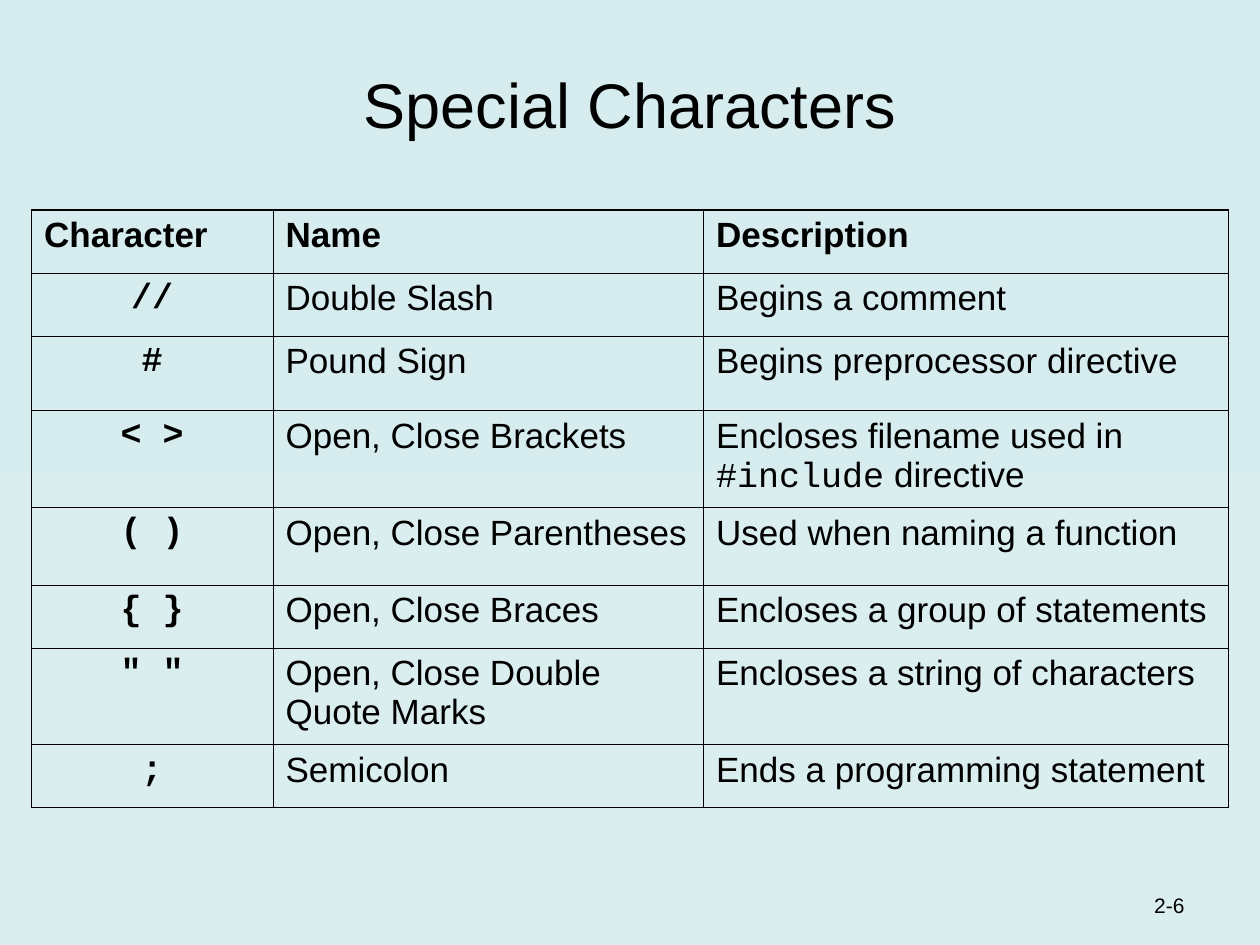
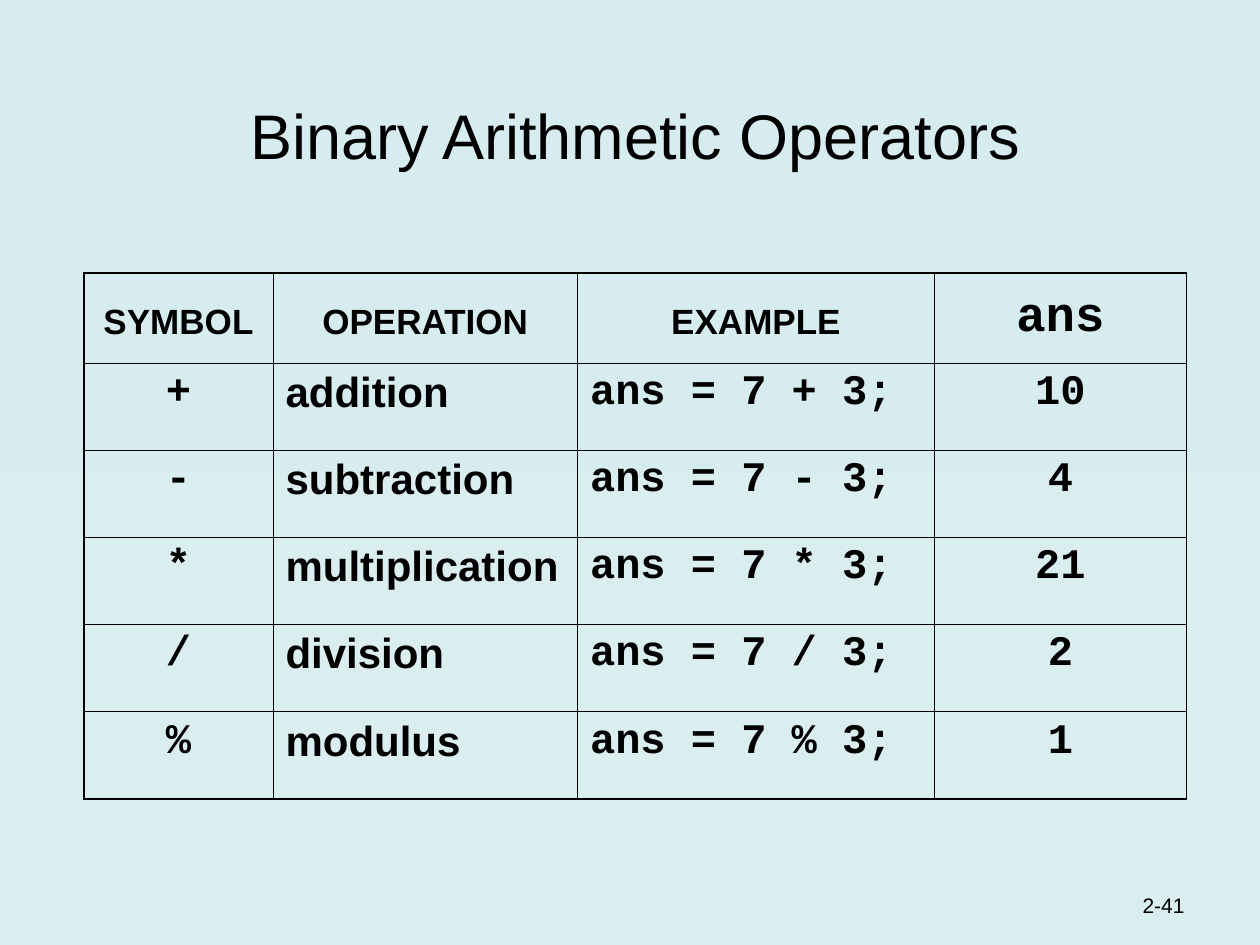
"""Build two slides of programming tables with a shared title, page mark and ruled grid."""
from dataclasses import dataclass
from typing import NamedTuple

from lxml import etree
from pptx import Presentation
from pptx import util as u
from pptx.dml.color import RGBColor
from pptx.enum import text as t
from pptx.oxml import ns

INK, PALE, DEEP = "000000", "DAEDEF", "D6ECEE"
SANS, CODE = "Arial", "Courier New"
LEFT, MID, RIGHT = t.PP_ALIGN.LEFT, t.PP_ALIGN.CENTER, t.PP_ALIGN.RIGHT
WIDE, HIGH = u.Inches(10), u.Inches(7.5)
UNIT = WIDE // 120
THIN, BOLD = u.Pt(0.45), u.Pt(1.08)


class Box(NamedTuple):
    col: float
    row: float
    wide: float
    high: float


class Look(NamedTuple):
    font: str = SANS
    size: int = 20
    bold: bool = False
    side: int = LEFT
    gap: int = 0
    lead: float = 1


@dataclass
class Grid:
    col: float
    row: float
    wides: list[float]
    highs: list[float]
    heads: list[Look]
    looks: list[Look]
    rows: list[tuple[str, ...]]


@dataclass
class Page:
    title: str
    spot: Box
    mark: str
    grid: Grid


TITLE = Look(size=36, side=MID)
MARK = Look(size=12, side=RIGHT)
FOOT = Box(89, 82, 25, 6)
TERM = Look(gap=5)
HEAD = TERM._replace(bold=True)
LABEL = HEAD._replace(side=MID, lead=1.6)
WORD = Look(size=24, bold=True, gap=6)
SUM = WORD._replace(font=CODE)
SIGN = SUM._replace(side=MID)

CHARS = Grid(
    3, 20, [23, 41, 50], [6, 6, 7.1, 9.2, 7.4, 6, 9.2, 6],
    [HEAD] * 3, [HEAD._replace(font=CODE, side=MID), TERM, TERM],
    [
        ("Character", "Name", "Description"),
        ("//", "Double Slash", "Begins a comment"),
        ("#", "Pound Sign", "Begins preprocessor directive"),
        ("< >", "Open, Close Brackets", "Encloses filename used in `#include` directive"),
        ("( )", "Open, Close Parentheses", "Used when naming a function"),
        ("{ }", "Open, Close Braces", "Encloses a group of statements"),
        ('" "', "Open, Close Double Quote Marks", "Encloses a string of characters"),
        (";", "Semicolon", "Ends a programming statement"),
    ],
)
MATHS = [("+", "addition", "10"), ("-", "subtraction", "4"), ("*", "multiplication", "21"),
         ("/", "division", "2"), ("%", "modulus", "1")]
SIGNS = Grid(
    8, 26, [18, 29, 34, 24], [8.6] + [8.3] * len(MATHS),
    [LABEL] * 3 + [SIGN._replace(size=28, gap=7, lead=1.2)], [SIGN, WORD, SUM, SIGN],
    [("SYMBOL", "OPERATION", "EXAMPLE", "ans")]
    + [(sign, name, f"ans = 7 {sign} 3;", ans) for sign, name, ans in MATHS],
)
PAGES = [
    Page("Special Characters", Box(9, 3, 102, 11), "2-6", CHARS),
    Page("Binary Arithmetic Operators", Box(4, 4, 113, 13), "2-41", SIGNS),
]


def tint(code: str) -> RGBColor:
    return RGBColor.from_string(code)


def span(count: float) -> int:
    return round(count * UNIT)


def write(frame, words: str, look: Look) -> None:
    """Fill a frame with one paragraph; backticks enclose code."""
    para = frame.paragraphs[0]
    para.alignment = look.side
    para.space_before = u.Pt(look.gap)
    para.line_spacing = look.lead
    for turn, part in enumerate(words.split("`")):
        run = para.add_run()
        run.text = part
        font = run.font
        font.name = CODE if turn % 2 else look.font
        font.size, font.bold = u.Pt(look.size), look.bold
        font.color.rgb = tint(INK)


def label(slide, box: Box, words: str, look: Look) -> None:
    frame = slide.shapes.add_textbox(*map(span, box)).text_frame
    frame.word_wrap = True
    frame.vertical_anchor = t.MSO_ANCHOR.BOTTOM
    write(frame, words, look)


def rule(cell, outer: dict[str, bool]) -> None:
    """Draw the cell's four edges, heavier on the outside of the table."""
    props = cell._tc.get_or_add_tcPr()
    for side, edge in outer.items():
        line = etree.SubElement(props, ns.qn(f"a:ln{side}"), w=str(BOLD if edge else THIN))
        fill = etree.SubElement(line, ns.qn("a:solidFill"))
        etree.SubElement(fill, ns.qn("a:srgbClr"), val=INK)


def chart(slide, grid: Grid) -> None:
    """Draw a ruled table with clear cells."""
    box = Box(grid.col, grid.row, sum(grid.wides), sum(grid.highs))
    last, end = len(grid.highs) - 1, len(grid.wides) - 1
    table = slide.shapes.add_table(last + 1, end + 1, *map(span, box)).table
    table.first_row = table.horz_banding = False
    for col, wide in zip(table.columns, grid.wides):
        col.width = span(wide)
    for row, high in zip(table.rows, grid.highs):
        row.height = span(high)
    for r, words in enumerate(grid.rows):
        looks = grid.looks if r else grid.heads
        for c, (word, look) in enumerate(zip(words, looks)):
            cell = table.cell(r, c)
            write(cell.text_frame, word, look)
            rule(cell, {"L": c == 0, "R": c == end, "T": r == 0, "B": r == last})
            cell.fill.background()


def paint(slide) -> None:
    fill = slide.background.fill
    fill.gradient()
    fill.gradient_angle = 90
    for stop, code in zip(fill.gradient_stops, (PALE, DEEP)):
        stop.color.rgb = tint(code)


def main() -> None:
    deck = Presentation()
    deck.slide_width, deck.slide_height = WIDE, HIGH
    for page in PAGES:
        slide = deck.slides.add_slide(deck.slide_layouts[6])
        paint(slide)
        label(slide, page.spot, page.title, TITLE)
        label(slide, FOOT, page.mark, MARK)
        chart(slide, page.grid)
    deck.save("out.pptx")


if __name__ == "__main__":
    main()
